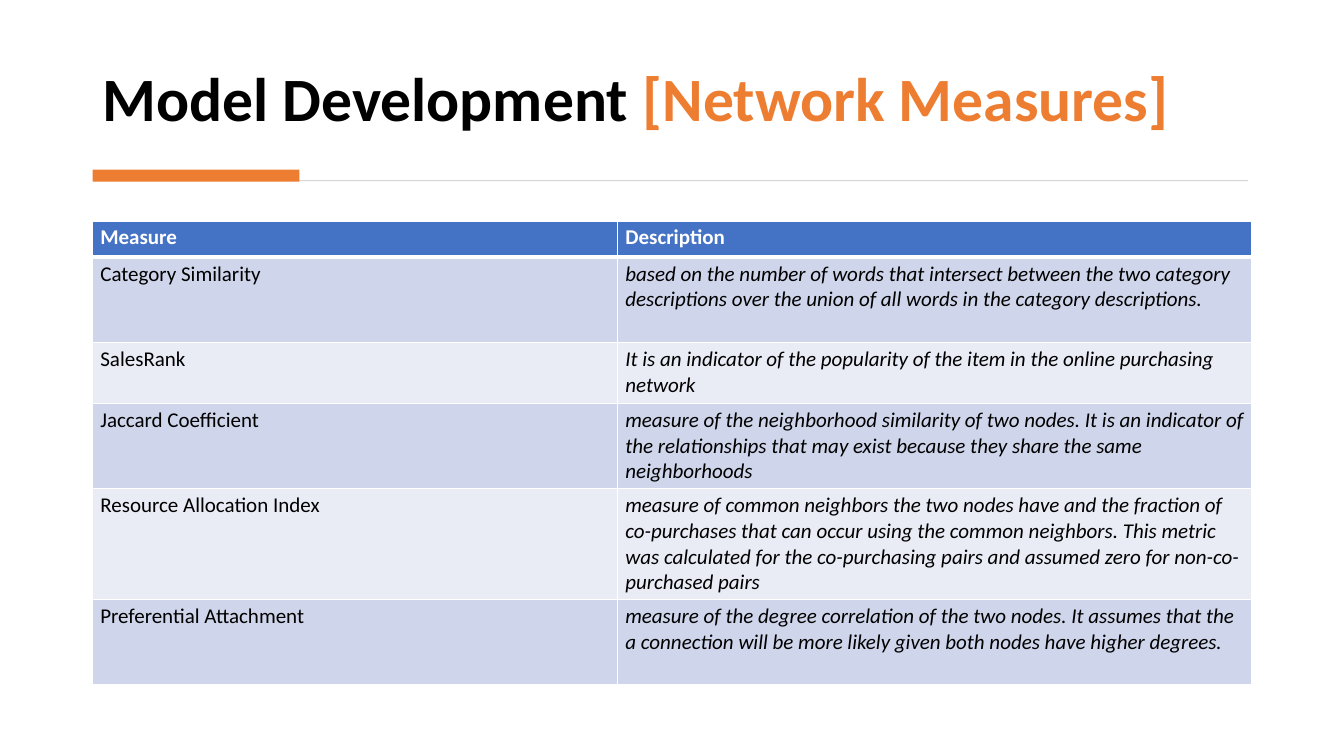
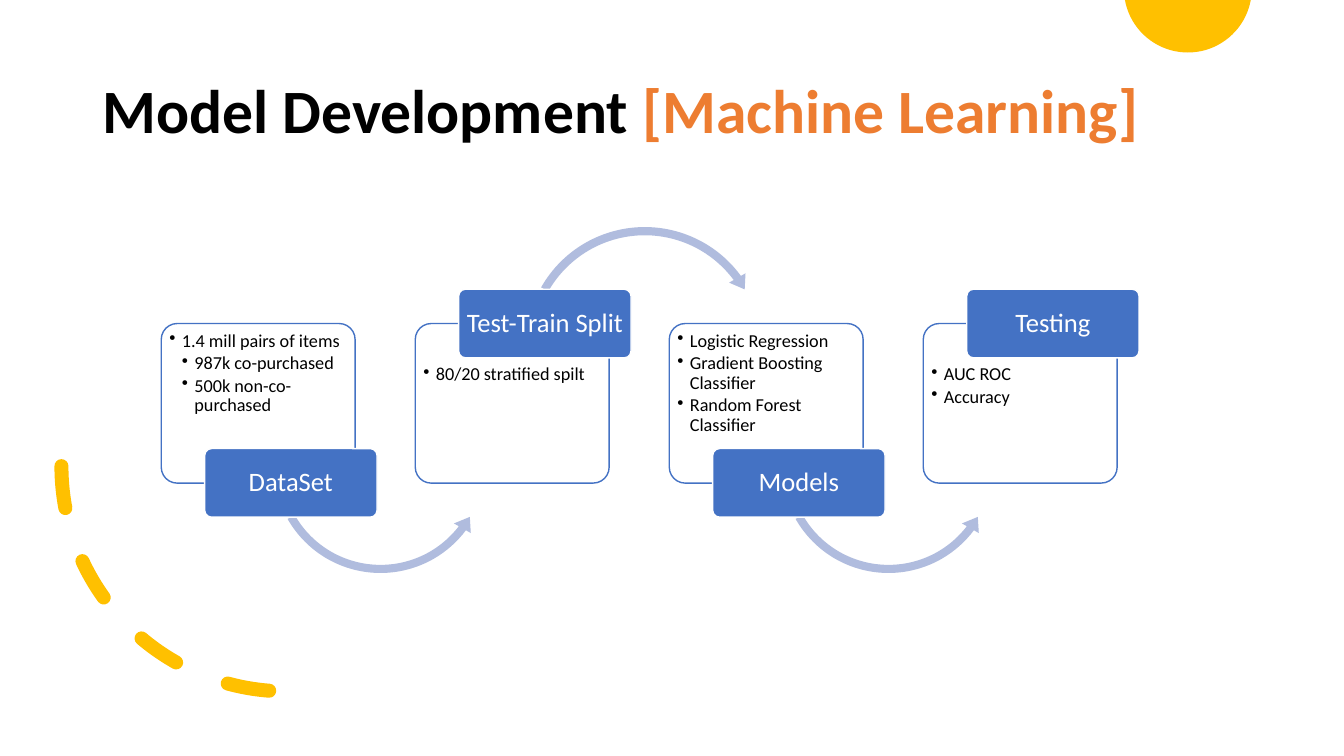
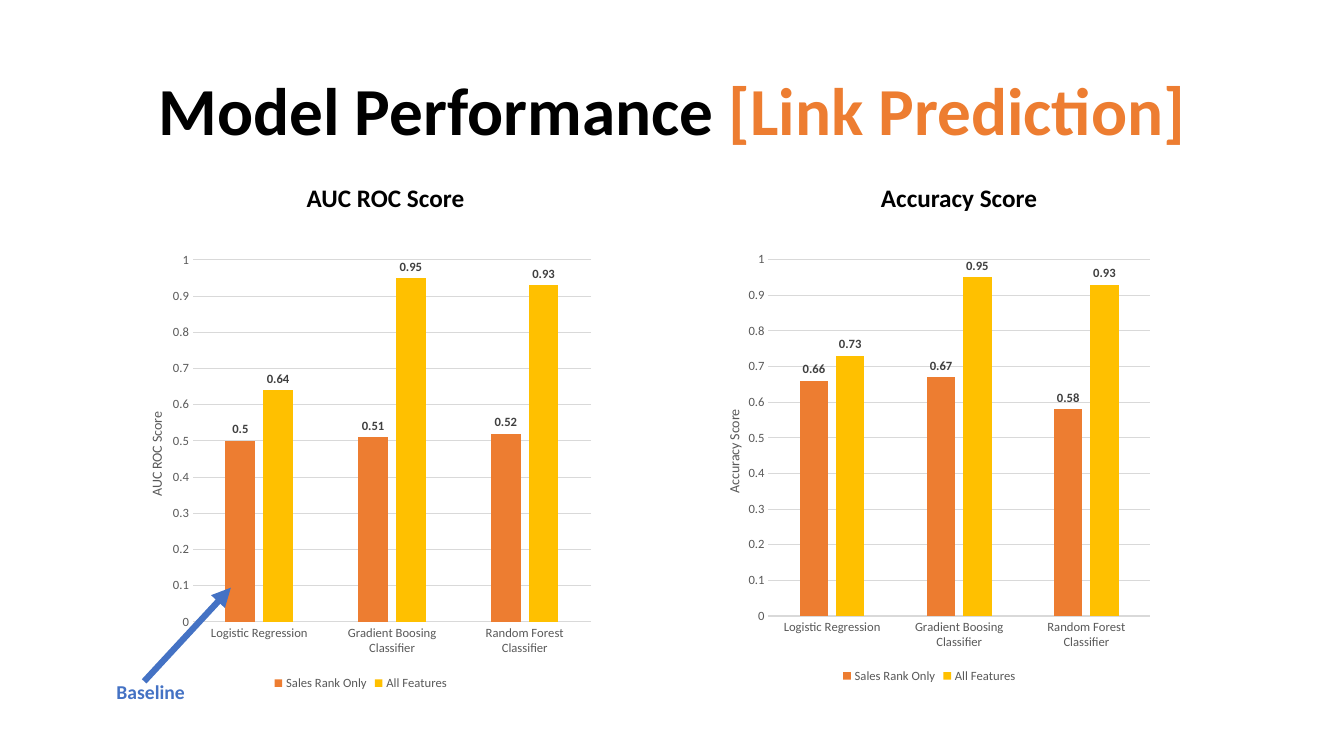
import math

import lxml.etree
import pptx
import pptx.chart.data
import pptx.dml.color
import pptx.enum.chart
import pptx.enum.dml
import pptx.enum.shapes
import pptx.enum.text
import pptx.oxml.ns
import pptx.util

# Shared styles
Pt = pptx.util.Pt
rgb = pptx.dml.color.RGBColor.from_string
qn = pptx.oxml.ns.qn
kinds = pptx.enum.shapes.MSO_SHAPE
ALIGN = pptx.enum.text.PP_ALIGN
ANCHOR = pptx.enum.text.MSO_ANCHOR
FONT = "Calibri"
BLACK, WHITE, BLUE = "000000", "FFFFFF", "4472C4"
ORANGE, YELLOW, PALE_BLUE = "ED7D31", "FFC000", "B0BCDE"
GREY, LIGHT_GREY, DARK_GREY = "595959", "D9D9D9", "404040"


def add_run(para, text, size, color, bold=False, italic=False):
    span = para.add_run()
    span.text = text
    span.font.name, span.font.size = FONT, Pt(size)
    span.font.bold, span.font.italic = bold, italic
    span.font.color.rgb = rgb(color)


def add_box(page, kind, frame, fill, line=None):
    box = page.shapes.add_shape(kind, *map(Pt, frame))
    box.shadow.inherit = False
    box.fill.solid()
    box.fill.fore_color.rgb = rgb(fill)
    if line:
        box.line.color.rgb = rgb(line)
        box.line.width = Pt(1)
    else:
        box.line.fill.background()
    return box


deck = pptx.Presentation()
deck.slide_width, deck.slide_height = Pt(960), Pt(540)

# Pages and titles
titles = [
    ("Model Development ", "[Network Measures]", 44, (66.2, 20, 828, 80), ANCHOR.BOTTOM, ALIGN.LEFT),
    ("Model Development ", "[Machine Learning]", 44, (66.2, 28.8, 828, 104.4), ANCHOR.MIDDLE, ALIGN.LEFT),
    ("Model Performance ", "[Link Prediction]", 48, (66.2, 28.8, 828, 104.4), ANCHOR.MIDDLE, ALIGN.CENTER),
]
pages = []
for topic, detail, size, frame, anchor, align in titles:
    page = deck.slides.add_slide(deck.slide_layouts[5])
    title = page.shapes.title
    title.left, title.top, title.width, title.height = map(Pt, frame)
    title.text_frame.vertical_anchor = anchor
    para = title.text_frame.paragraphs[0]
    para.alignment, para.line_spacing = align, 0.9
    add_run(para, topic, size, BLACK, bold=True)
    add_run(para, detail, size, ORANGE, bold=True)
    pages.append(page)
measures_page, learning_page, results_page = pages

# Measures: rule under the title
add_box(measures_page, kinds.RECTANGLE, (68.4, 128.7, 823, 0.8), "D5D5D5")
add_box(measures_page, kinds.RECTANGLE, (66.2, 121.2, 147.6, 8.6), ORANGE)

# Measures: table
measures = [
    ("Measure", "Description", 25.9),
    ("Category Similarity",
     "based on the number of words that intersect between the two category "
     "descriptions over the union of all words in the category descriptions.", 61),
    ("SalesRank",
     "It is an indicator of the popularity of the item in the online purchasing network", 43.4),
    ("Jaccard Coefficient ",
     "measure of the neighborhood similarity of two nodes. It is an indicator of the "
     "relationships that may exist because they share the same neighborhoods", 61),
    ("Resource Allocation Index",
     "measure of common neighbors the two nodes have and the fraction of co-purchases "
     "that can occur using the common neighbors. This metric was calculated for the "
     "co-purchasing pairs and assumed zero for non-co-purchased pairs", 78.6),
    ("Preferential Attachment",
     "measure of the degree correlation of the two nodes. It assumes that the a "
     "connection will be more likely given both nodes have higher degrees.", 61),
]
table = measures_page.shapes.add_table(
    len(measures), 2, Pt(66.2), Pt(157.9), Pt(828), Pt(331)).table
table.columns[0].width, table.columns[1].width = Pt(375), Pt(453)
for r, (measure, description, height) in enumerate(measures):
    table.rows[r].height = Pt(height)
    header = r == 0
    fill = BLUE if header else ("E9EBF5", "CFD5EA")[r % 2]
    for c, text in enumerate((measure, description)):
        cell = table.cell(r, c)
        cell.margin_left = cell.margin_right = Pt(5.5)
        cell.margin_top = cell.margin_bottom = Pt(2.8)
        add_run(cell.text_frame.paragraphs[0], text, 15, WHITE if header else BLACK,
                bold=header, italic=not header and c == 1)
        properties = cell._tc.get_or_add_tcPr()
        for side in ("L", "R", "T", "B"):
            thick = (side == "B" and r == 0) or (side == "T" and r == 1)
            border = lxml.etree.SubElement(
                properties, qn("a:ln" + side), w=str(Pt(3 if thick else 1)))
            paint = lxml.etree.SubElement(border, qn("a:solidFill"))
            lxml.etree.SubElement(paint, qn("a:srgbClr"), val=WHITE)
        cell.fill.solid()
        cell.fill.fore_color.rgb = rgb(fill)

# Learning: sun cut off by the top edge
sun_x, sun_y, radius = 848.5, -8.2, 45.7
points = []
for step in range(41):
    angle = math.radians(10.4 + step * 159.2 / 40)
    points.append((Pt(sun_x + radius * math.cos(angle)), Pt(sun_y + radius * math.sin(angle))))
builder = learning_page.shapes.build_freeform(*points[0], scale=1.0)
builder.add_line_segments(points[1:], close=True)
sun = builder.convert_to_shape()
sun.shadow.inherit = False
sun.fill.solid()
sun.fill.fore_color.rgb = rgb(YELLOW)
sun.line.fill.background()

# Learning: dashed arc
arc = learning_page.shapes.add_shape(kinds.ARC, Pt(43.9), Pt(172.1), Pt(321.8), Pt(321.8))
arc.shadow.inherit = False
arc.rotation = 90
arc._element.spPr.find(qn("a:xfrm")).set("flipV", "1")
arc.fill.background()
arc.line.color.rgb = rgb(YELLOW)
arc.line.width = Pt(10)
arc.line.dash_style = pptx.enum.dml.MSO_LINE.DASH
arc.line._get_or_add_ln().set("cap", "rnd")

# Learning: process steps, labels alternating below and above
steps = [
    ("DataSet", [(0, "1.4 mill pairs of items"), (1, "987k co-purchased"),
                 (1, "500k non-co-purchased")]),
    ("Test-Train Split", [(0, "80/20 stratified spilt")]),
    ("Models", [(0, "Logistic Regression"), (0, "Gradient Boosting Classifier"),
                (0, "Random Forest Classifier")]),
    ("Testing", [(0, "AUC ROC"), (0, "Accuracy")]),
]
swings = [
    (kinds.LEFT_CIRCULAR_ARROW, 76.3, 252.7, 160.6, (0.036, 4.544, 22.299, 90.245, 0.043)),
    (kinds.CIRCULAR_ARROW, 75, 158.4, 177.8, (0.033, 4.058, 194.187, 125.755, 0.038)),
]
for i, (name, bullets) in enumerate(steps):
    left = 115.2 + 181.44 * i
    above = i % 2 == 1

    card = add_box(learning_page, kinds.ROUNDED_RECTANGLE, (left, 231.1, 138.5, 114), WHITE, BLUE)
    card.adjustments[0] = 0.1
    frame = card.text_frame
    frame.word_wrap = True
    frame.vertical_anchor = ANCHOR.TOP
    frame.margin_left = frame.margin_right = frame.margin_bottom = Pt(2.4)
    frame.margin_top = Pt(26.4 if above else 2.4)
    for n, (level, text) in enumerate(bullets):
        para = frame.add_paragraph() if n else frame.paragraphs[0]
        para.alignment, para.level = ALIGN.LEFT, level
        para.line_spacing, para.space_after = 0.9, Pt(2)
        properties = para._p.get_or_add_pPr()
        properties.set("marL", str(Pt(9 * (level + 1))))
        properties.set("indent", str(Pt(-9)))
        lxml.etree.SubElement(properties, qn("a:buChar"), char="•")
        add_run(para, text, 13, BLACK)

    if i < len(steps) - 1:
        kind, offset, top, size, bends = swings[i % 2]
        arrow = add_box(learning_page, kind, (left + offset, top, size, size), PALE_BLUE)
        for n, bend in enumerate(bends):
            arrow.adjustments[n] = bend

    label = add_box(learning_page, kinds.ROUNDED_RECTANGLE,
                    (left + 31, 206.6 if above else 320.4, 123.1, 49), BLUE, WHITE)
    label.adjustments[0] = 0.1
    frame = label.text_frame
    frame.word_wrap = True
    frame.vertical_anchor = ANCHOR.MIDDLE
    frame.margin_left = frame.margin_right = frame.margin_top = frame.margin_bottom = Pt(2.4)
    para = frame.paragraphs[0]
    para.alignment, para.line_spacing = ALIGN.CENTER, 0.9
    add_run(para, name, 19, WHITE)

# Results: score charts
models = ["Logistic Regression", "Gradient Boosing Classifier", "Random Forest Classifier"]
scores = [
    ("AUC ROC Score", (86.4, 172.8, 342.7, 323.3), (0.5, 0.51, 0.52), (0.64, 0.95, 0.93)),
    ("Accuracy Score", (499.7, 172.8, 328.3, 318.2), (0.66, 0.67, 0.58), (0.73, 0.95, 0.93)),
]
for score, frame, rank_only, all_features in scores:
    data = pptx.chart.data.CategoryChartData()
    data.categories = models
    data.add_series("Sales Rank Only", rank_only)
    data.add_series("All Features", all_features)
    chart = results_page.shapes.add_chart(
        pptx.enum.chart.XL_CHART_TYPE.COLUMN_CLUSTERED, *map(Pt, frame), data).chart
    chart.has_title = False
    chart.font.name, chart.font.size = FONT, Pt(9)
    chart.font.color.rgb = rgb(GREY)
    chart.has_legend = True
    chart.legend.position = pptx.enum.chart.XL_LEGEND_POSITION.BOTTOM
    chart.legend.include_in_layout = False

    plot = chart.plots[0]
    plot.gap_width, plot.overlap, plot.vary_by_categories = 219, -27, False
    for series, color in zip(plot.series, (ORANGE, YELLOW)):
        series.format.fill.solid()
        series.format.fill.fore_color.rgb = rgb(color)
        labels = series.data_labels
        labels.show_value = True
        labels.position = pptx.enum.chart.XL_LABEL_POSITION.OUTSIDE_END
        labels.font.name, labels.font.size, labels.font.bold = FONT, Pt(9), True
        labels.font.color.rgb = rgb(DARK_GREY)

    values, categories = chart.value_axis, chart.category_axis
    for axis in (values, categories):
        axis.major_tick_mark = axis.minor_tick_mark = pptx.enum.chart.XL_TICK_MARK.NONE
    values.minimum_scale, values.maximum_scale, values.major_unit = 0, 1, 0.1
    values.format.line.fill.background()
    for line in (values.major_gridlines.format.line, categories.format.line):
        line.color.rgb = rgb(LIGHT_GREY)
        line.width = Pt(0.75)
    add_run(values.axis_title.text_frame.paragraphs[0], score, 10, GREY)

    # Fixed places for the plot and the axis title
    plot_area = chart._chartSpace.chart.plotArea
    axis_title = values.axis_title._element
    places = [
        (plot_area, 0, dict(layoutTarget="inner", xMode="edge", yMode="edge",
                            x="0.15", y="0.04", w="0.83", h="0.8")),
        (axis_title, 1, dict(xMode="edge", yMode="edge", x="0.05", y="0.37")),
    ]
    for parent, index, settings in places:
        for old in parent.findall(qn("c:layout")):
            parent.remove(old)
        layout = parent.makeelement(qn("c:layout"))
        manual = lxml.etree.SubElement(layout, qn("c:manualLayout"))
        for key, value in settings.items():
            lxml.etree.SubElement(manual, qn("c:" + key), val=value)
        parent.insert(index, layout)

# Results: arrow to the baseline column
pointer = results_page.shapes.add_connector(
    pptx.enum.shapes.MSO_CONNECTOR.STRAIGHT, Pt(103), Pt(486.7), Pt(164.9), Pt(419.8))
pointer.line.color.rgb = rgb(BLUE)
pointer.line.width = Pt(4.5)
lxml.etree.SubElement(pointer.line._get_or_add_ln(), qn("a:tailEnd"), type="triangle")
lxml.etree.SubElement(pointer._element.spPr, qn("a:effectLst"))

# Results: captions
captions = [
    ("AUC ROC Score", 188.6, 126.7, 29, 18, BLACK),
    ("Accuracy Score", 598.3, 126.7, 29, 18, BLACK),
    ("Baseline", 20.9, 482.4, 24.5, 14, BLUE),
]
for text, left, top, height, size, color in captions:
    caption = results_page.shapes.add_textbox(Pt(left), Pt(top), Pt(173.5), Pt(height))
    caption.text_frame.word_wrap = True
    para = caption.text_frame.paragraphs[0]
    para.alignment = ALIGN.CENTER
    add_run(para, text, size, color, bold=True)

deck.save("out.pptx")
